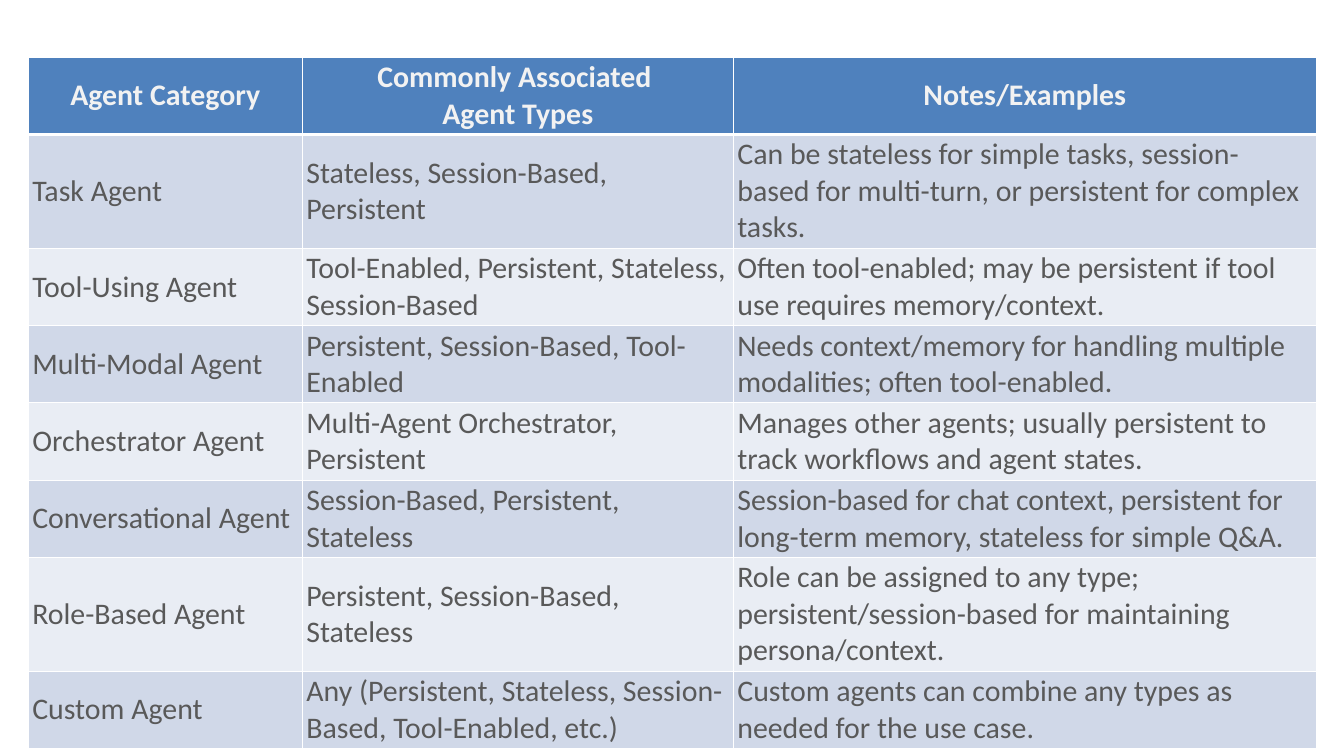
import pptx
import pptx.util
import pptx.dml.color
import pptx.enum.text
import pptx.oxml.ns
from lxml import etree

Cm = pptx.util.Cm
HEADER_FILL = "4F81BD"
BAND_FILLS = ["D0D8E8", "E9EDF4"]
HEADER_TEXT = "F2F2F2"
BODY_TEXT = "595959"
BORDER = "FFFFFF"

AGENTS = [
    ("Agent Category", "Commonly Associated \nAgent Types", "Notes/Examples"),
    ("Task Agent", "Stateless, Session-Based, Persistent",
     "Can be stateless for simple tasks, session-based for multi-turn, or persistent for complex tasks."),
    ("Tool-Using Agent", "Tool-Enabled, Persistent, Stateless, Session-Based",
     "Often tool-enabled; may be persistent if tool use requires memory/context."),
    ("Multi-Modal Agent", "Persistent, Session-Based, Tool-Enabled",
     "Needs context/memory for handling multiple modalities; often tool-enabled."),
    ("Orchestrator Agent", "Multi-Agent Orchestrator, Persistent",
     "Manages other agents; usually persistent to track workflows and agent states."),
    ("Conversational Agent", "Session-Based, Persistent, Stateless",
     "Session-based for chat context, persistent for long-term memory, stateless for simple Q&A."),
    ("Role-Based Agent", "Persistent, Session-Based, Stateless",
     "Role can be assigned to any type; persistent/session-based for maintaining persona/context."),
    ("Custom Agent", "Any (Persistent, Stateless, Session-Based, Tool-Enabled, etc.)",
     "Custom agents can combine any types as needed for the use case."),
]
COLUMN_WIDTHS = [10.36, 16.29, 22.04]
NOTES_COLUMN = 2


def rgb(value):
    return pptx.dml.color.RGBColor.from_string(value)


def add_border(cell, side, width):
    """Draw one side (L, R, T or B) of a cell, with the width in points."""
    qn = pptx.oxml.ns.qn
    line = etree.SubElement(cell._tc.get_or_add_tcPr(), qn(f"a:ln{side}"),
                            w=str(pptx.util.Pt(width)))
    fill = etree.SubElement(line, qn("a:solidFill"))
    etree.SubElement(fill, qn("a:srgbClr"), val=BORDER)


presentation = pptx.Presentation()
presentation.slide_width = Cm(50.8)
presentation.slide_height = Cm(28.58)
slide = presentation.slides.add_slide(presentation.slide_layouts[6])

agent_frame = slide.shapes.add_table(len(AGENTS), len(COLUMN_WIDTHS),
                                     Cm(1.07), Cm(2.16), Cm(48.69), Cm(24.26))
agent_table = agent_frame.table
for column, width in zip(agent_table.columns, COLUMN_WIDTHS):
    column.width = Cm(width)

for row_index, agent in enumerate(AGENTS):
    is_header = row_index == 0
    # Rows grow to fit their text
    agent_table.rows[row_index].height = Cm(1.04)
    for column_index, wording in enumerate(agent):
        cell = agent_table.cell(row_index, column_index)
        cell.margin_left = cell.margin_right = Cm(0.15)
        cell.margin_top = cell.margin_bottom = Cm(0.08)
        if column_index == NOTES_COLUMN and not is_header:
            # Keeps "session-based" breaking at its hyphen
            cell.margin_right = Cm(0.35)
        cell.vertical_anchor = pptx.enum.text.MSO_ANCHOR.MIDDLE
        add_border(cell, "L", 1)
        add_border(cell, "R", 1)
        add_border(cell, "T", 3 if row_index == 1 else 1)
        add_border(cell, "B", 3 if is_header else 1)
        cell.fill.solid()
        cell.fill.fore_color.rgb = rgb(HEADER_FILL if is_header else BAND_FILLS[(row_index - 1) % 2])

        cell.text_frame.text = wording
        for paragraph in cell.text_frame.paragraphs:
            if is_header:
                paragraph.alignment = pptx.enum.text.PP_ALIGN.CENTER
            for run in paragraph.runs:
                run.font.name = "Calibri"
                run.font.size = pptx.util.Pt(32)
                run.font.bold = is_header
                run.font.color.rgb = rgb(HEADER_TEXT if is_header else BODY_TEXT)

agent_frame.height = Cm(24.26)
presentation.save("out.pptx")
